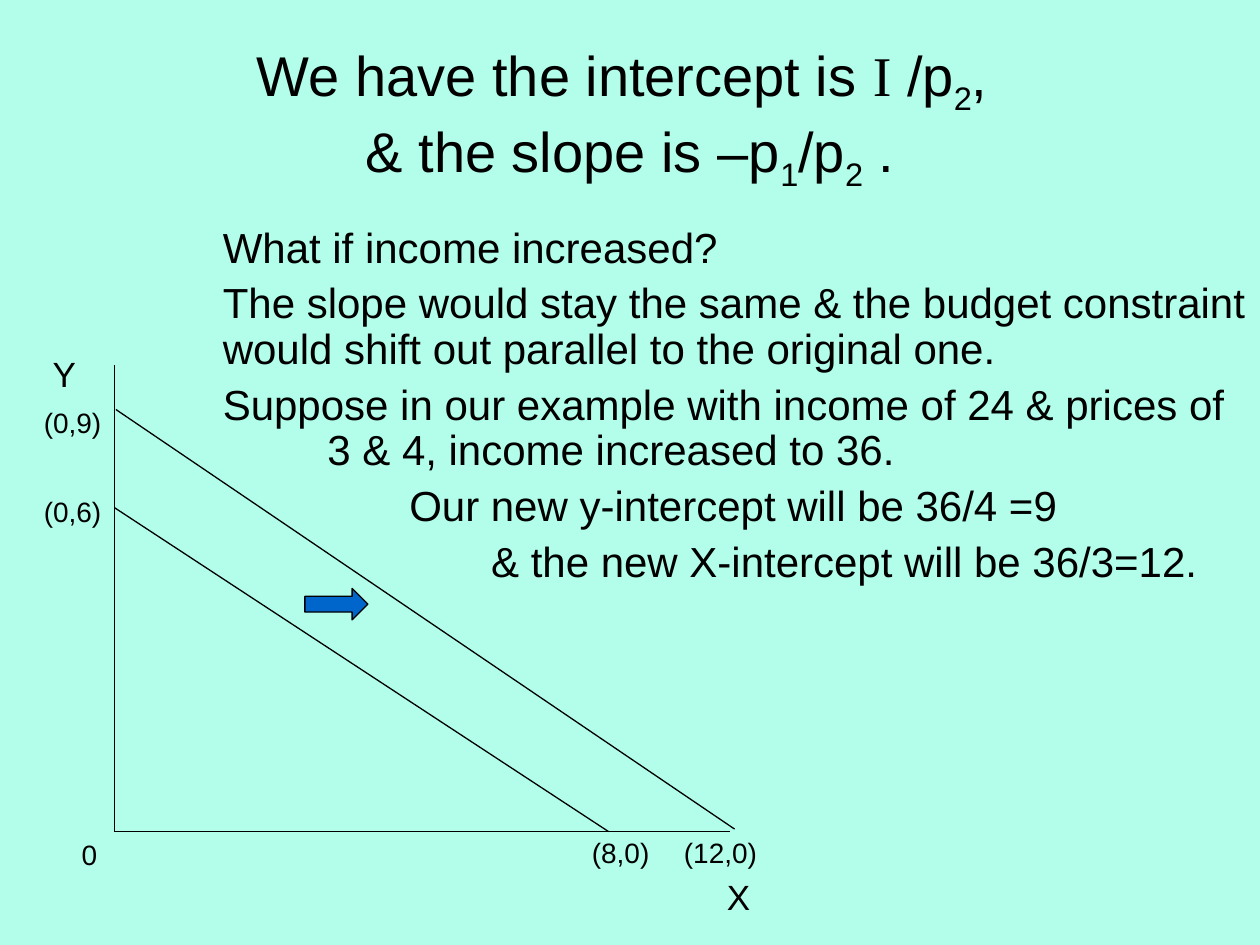
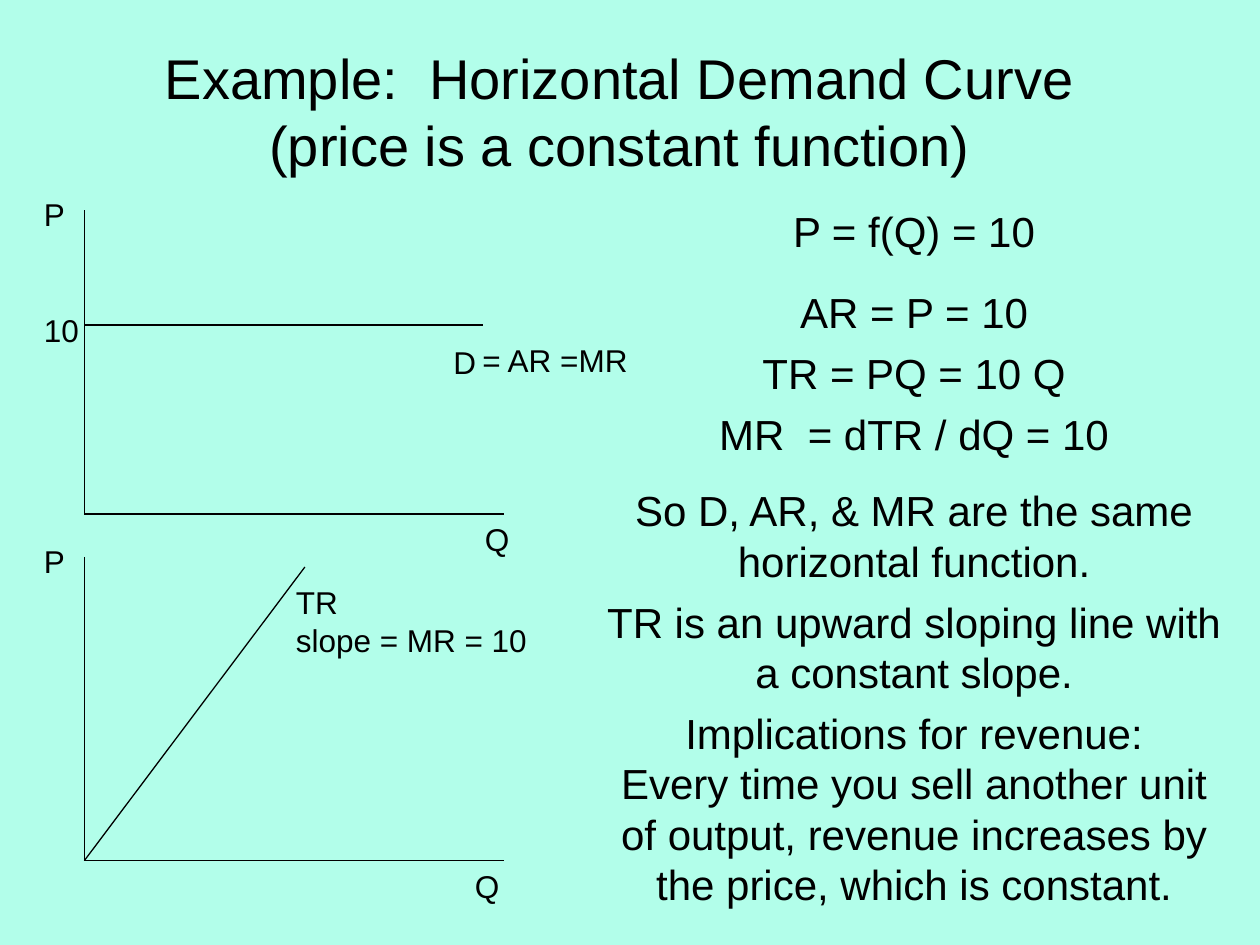
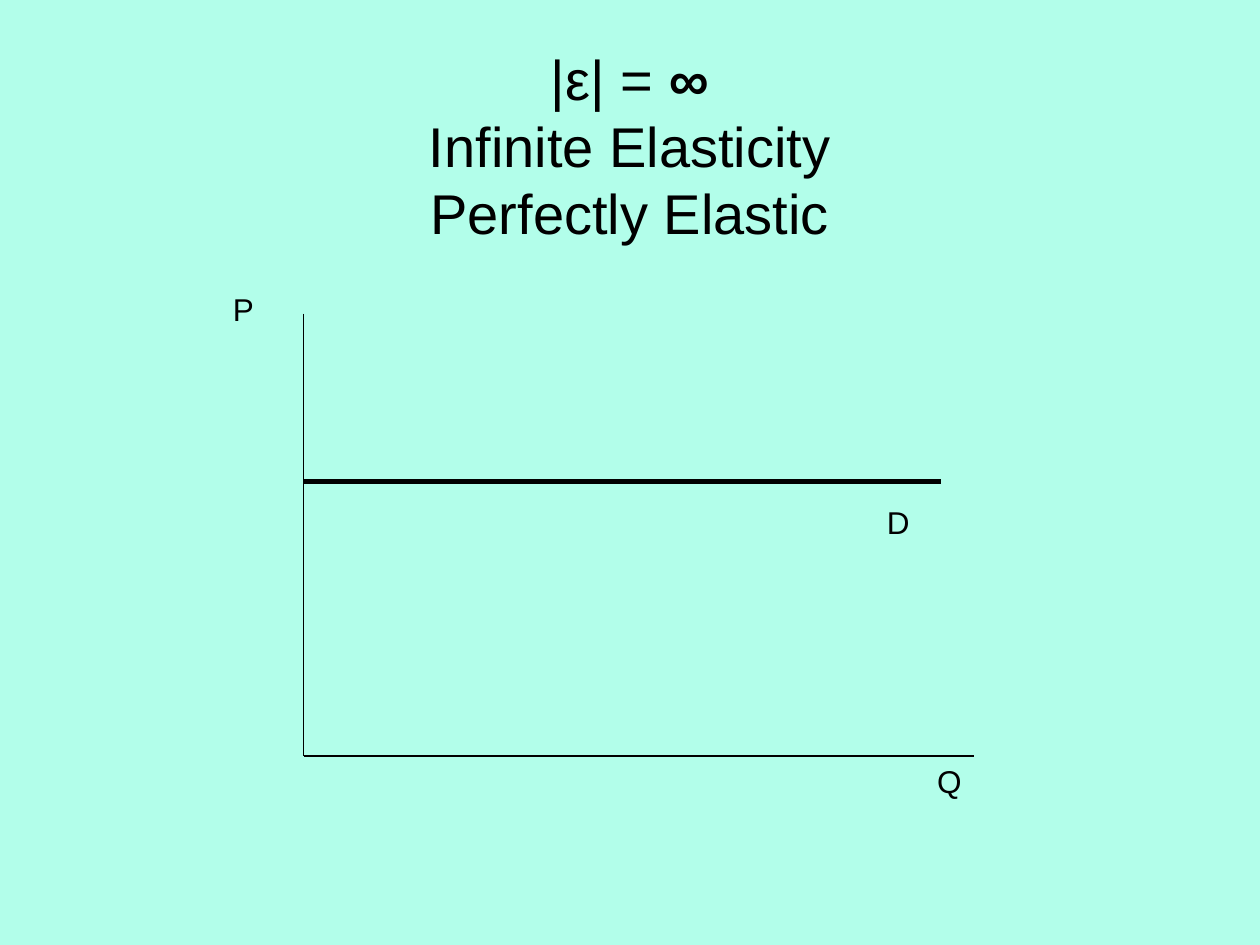
from lxml import etree
from pptx import Presentation
from pptx.dml.color import RGBColor
from pptx.enum.shapes import MSO_CONNECTOR, MSO_SHAPE
from pptx.enum.text import MSO_ANCHOR, PP_ALIGN
from pptx.oxml.ns import qn
from pptx.util import Inches, Pt

STRAIGHT = MSO_CONNECTOR.STRAIGHT
RIGHT_ARROW = MSO_SHAPE.RIGHT_ARROW
MIDDLE = MSO_ANCHOR.MIDDLE
TOP = MSO_ANCHOR.TOP
LEFT = PP_ALIGN.LEFT
CENTER = PP_ALIGN.CENTER

MINT = RGBColor(0xB2, 0xFE, 0xEA)
BLACK = RGBColor(0x00, 0x00, 0x00)
BLUE = RGBColor(0x00, 0x66, 0xCC)
SANS = "Arial"
SERIF = "Times New Roman"
TITLE_SIZE, BODY_SIZE, AXIS_SIZE, LABEL_SIZE, POINT_SIZE = 32, 24, 20, 18, 16
THIN, THICK = 0.75, 3

deck = Presentation()
deck.slide_width = Inches(10)
deck.slide_height = Inches(7.5)
COLUMN = deck.slide_width // 10
ROW = deck.slide_height * 2 // 15
deck.slide_master.background.fill.solid()
deck.slide_master.background.fill.fore_color.rgb = MINT
blank = deck.slide_layouts[6]


def add_text(page, place, paragraphs, size, align=LEFT, anchor=TOP):
    left, top, width, height = place
    box = page.shapes.add_textbox(
        round(left * COLUMN), round(top * ROW), round(width * COLUMN), round(height * ROW))
    frame = box.text_frame
    frame.word_wrap = True
    frame.vertical_anchor = anchor
    for number, spans in enumerate(paragraphs):
        para = frame.add_paragraph() if number else frame.paragraphs[0]
        para.alignment = align
        for text, style in spans:
            for line_number, line in enumerate(text.split("\n")):
                if line_number:
                    para.add_line_break()
                if not line:
                    continue
                span = para.add_run()
                span.text = line
                span.font.size = Pt(size)
                span.font.name = SERIF if style == "serif" else SANS
                span.font.color.rgb = BLACK
                span.font.bold = style == "bold"
                if style == "sub":
                    span.font._element.set("baseline", "-25000")
    return frame.paragraphs


def add_line(page, start, end, weight=THIN):
    line = page.shapes.add_connector(
        STRAIGHT, round(start[0] * COLUMN), round(start[1] * ROW),
        round(end[0] * COLUMN), round(end[1] * ROW))
    line.line.color.rgb = BLACK
    line.line.width = Pt(weight)
    etree.SubElement(line._element.spPr, qn("a:effectLst"))


budget = deck.slides.add_slide(blank)
budget_title = [
    ("We have the intercept is ", ""), ("I", "serif"), (" /p", ""), ("2", "sub"),
    (", \n& the slope is –p", ""), ("1", "sub"), ("/p", ""), ("2", "sub"), (" .", "")]
add_text(budget, (0.5, 0.3, 9, 1.25), [budget_title], TITLE_SIZE, CENTER, MIDDLE)

income_steps = [
    ("What if income increased?", 0, 0),
    ("The slope would stay the same & the budget constraint would shift out "
     "parallel to the original one.", 0, 0),
    ("Suppose in our example with income of 24 & prices of\n"
     "3 & 4, income increased to 36.", 0.83, -0.83),
    ("Our new y-intercept will be 36/4 =9", 1.48, 0),
    ("& the new X-intercept will be 36/3=12.", 2.13, 0)]
paras = add_text(budget, (1.67, 1.75, 8.33, 3.08),
                 [[(text, "")] for text, margin, indent in income_steps], BODY_SIZE)
for number, (para, (text, margin, indent)) in enumerate(zip(paras, income_steps)):
    para.line_spacing = 0.9
    para.space_before = Pt(6 if number else 0)
    properties = para._p.get_or_add_pPr()
    properties.set("marL", str(round(margin * COLUMN)))
    properties.set("indent", str(round(indent * COLUMN)))

for start, end in [
        ((0.91, 2.9), (0.91, 6.6)), ((0.91, 6.6), (5.79, 6.6)),
        ((0.91, 4.03), (4.83, 6.6)), ((0.92, 3.25), (5.83, 6.58))]:
    add_line(budget, start, end)
for text, left, top, width, size in [
        ("X", 5.67, 6.9, 0.37, AXIS_SIZE), ("Y", 0.32, 2.75, 0.37, AXIS_SIZE),
        ("(0,6)", 0.25, 3.88, 0.67, POINT_SIZE), ("(8,0)", 4.6, 6.58, 0.74, POINT_SIZE),
        ("0", 0.55, 6.6, 0.37, POINT_SIZE), ("(0,9)", 0.25, 3.17, 0.67, POINT_SIZE),
        ("(12,0)", 5.33, 6.58, 0.92, POINT_SIZE)]:
    add_text(budget, (left, top, width, 0.4), [[(text, "")]], size)

shift_arrow = budget.shapes.add_shape(
    RIGHT_ARROW, round(2.42 * COLUMN), round(4.67 * ROW), COLUMN // 2, ROW // 4)
shift_arrow.shadow.inherit = False
shift_arrow.fill.solid()
shift_arrow.fill.fore_color.rgb = BLUE
shift_arrow.line.color.rgb = BLACK
shift_arrow.line.width = Pt(THIN)

demand = deck.slides.add_slide(blank)
add_text(demand, (0.42, 0.25, 9, 1.25),
         [[("Example:  Horizontal Demand Curve\n(price is a constant function)", "")]],
         TITLE_SIZE, CENTER, MIDDLE)

for axis_top, q_left in [(1.67, 3.75), (4.42, 3.67)]:
    origin = (0.67, axis_top + 2.41)
    add_line(demand, (0.67, axis_top), origin)
    add_line(demand, origin, (4, origin[1]))
    add_text(demand, (0.25, axis_top - 0.17, 0.42, 0.4), [[("P", "")]], LABEL_SIZE)
    add_text(demand, (q_left, origin[1], 0.42, 0.4), [[("Q", "")]], LABEL_SIZE)
add_line(demand, (0.67, 2.58), (3.83, 2.58))
add_line(demand, (0.67, 6.83), (2.42, 4.5))
for text, place in [
        ("10", (0.25, 2.42, 0.5, 0.4)), ("D", (3.5, 2.67, 0.33, 0.4)),
        ("= AR =MR", (3.73, 2.66, 1.44, 0.4)),
        ("TR\nslope = MR = 10", (2.25, 4.58, 2.17, 0.7))]:
    add_text(demand, place, [[(text, "")]], LABEL_SIZE)

revenue_notes = [
    ("P = f(Q) = 10", 0, 1),
    ("AR = P = 10", 6, 1.4),
    ("TR = PQ = 10 Q", 6, 1),
    ("MR  = dTR / dQ = 10", 6, 1),
    ("So D, AR, & MR are the same horizontal function.", 15, 1),
    ("TR is an upward sloping line with a constant slope.", 6, 1),
    ("Implications for revenue:", 6, 1),
    ("Every time you sell another unit of output, revenue increases by the price, "
     "which is constant.", 0, 1)]
paras = add_text(demand, (4.67, 1.58, 5.17, 5.67),
                 [[(text, "")] for text, gap, spacing in revenue_notes], BODY_SIZE, CENTER)
for para, (text, gap, spacing) in zip(paras, revenue_notes):
    para.space_before = Pt(gap)
    para.line_spacing = float(spacing)

elastic = deck.slides.add_slide(blank)
elastic_title = [("|ε| = ", ""), ("∞", "bold"), ("\nInfinite Elasticity\nPerfectly Elastic", "")]
add_text(elastic, (0.5, 0.3, 9, 1.7), [elastic_title], TITLE_SIZE, CENTER, MIDDLE)
add_line(elastic, (2.41, 2.49), (2.41, 6))
add_line(elastic, (2.41, 6), (7.73, 6))
add_line(elastic, (2.41, 3.82), (7.47, 3.82), THICK)
for text, left, top in [("P", 1.75, 2.25), ("Q", 7.34, 6), ("D", 6.94, 3.94)]:
    add_text(elastic, (left, top, 0.6, 0.4), [[(text, "")]], LABEL_SIZE)

deck.save("out.pptx")
